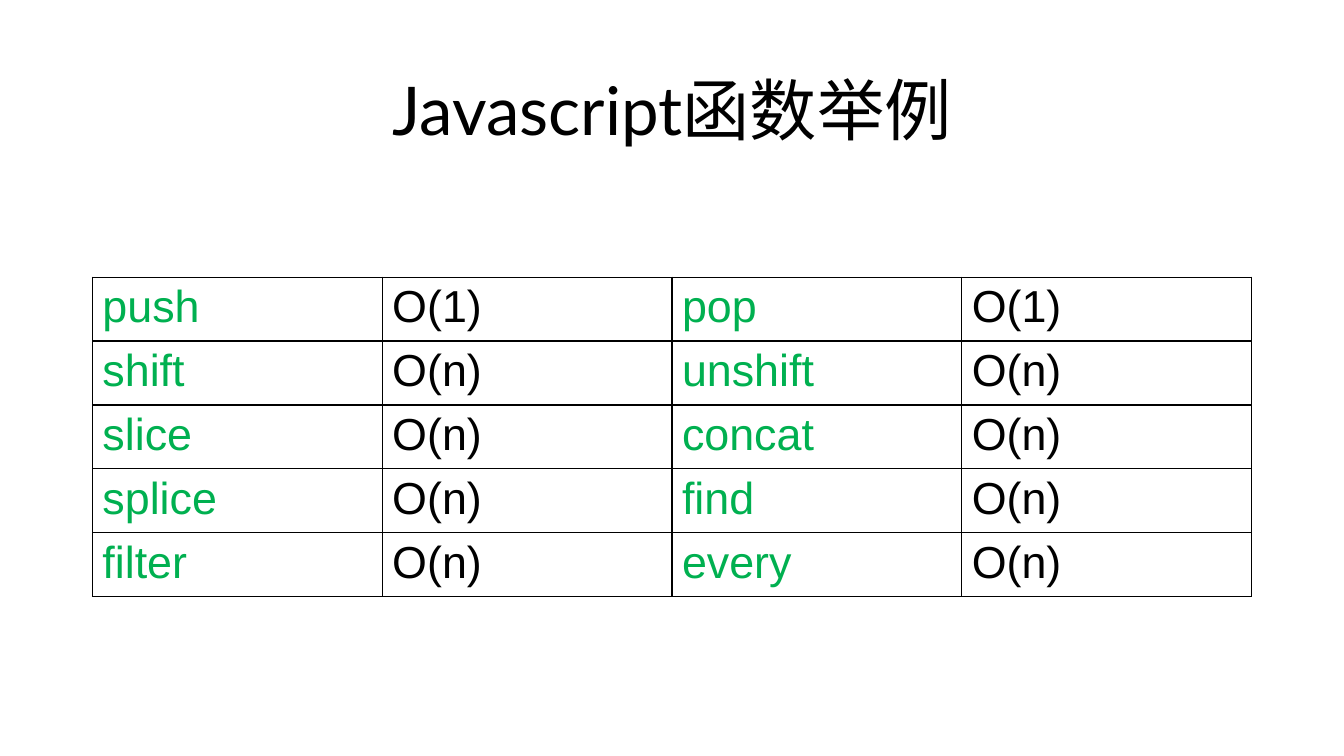
from lxml import etree
from pptx import Presentation
from pptx.dml.color import RGBColor
from pptx.enum import text
from pptx.oxml import ns
from pptx.util import Pt

# Content
TITLE = "Javascript函数举例"
COSTS = [
    ("push", "O(1)", "pop", "O(1)"),
    ("shift", "O(n)", "unshift", "O(n)"),
    ("slice", "O(n)", "concat", "O(n)"),
    ("splice", "O(n)", "find", "O(n)"),
    ("filter", "O(n)", "every", "O(n)"),
]
BLACK, GREEN = "000000", "00B050"
LEFT, WIDTH = 66, 828
TOP, ROW = 198, 43.1


def style(par, font, size, color):
    for run in par.runs:
        run.font.name = font
        run.font.size = Pt(size)
        run.font.color.rgb = RGBColor.from_string(color)


def border(cell, color, width):
    props = cell._tc.get_or_add_tcPr()
    for side in ("lnL", "lnR", "lnT", "lnB"):
        line = etree.SubElement(props, ns.qn("a:" + side), w=str(Pt(width)))
        fill = etree.SubElement(line, ns.qn("a:solidFill"))
        etree.SubElement(fill, ns.qn("a:srgbClr"), val=color)


deck = Presentation()
deck.slide_width, deck.slide_height = Pt(960), Pt(540)
slide = deck.slides.add_slide(deck.slide_layouts[6])

# Title
box = slide.shapes.add_textbox(Pt(LEFT), Pt(28.75), Pt(WIDTH), Pt(104.4))
frame = box.text_frame
frame.word_wrap = True
frame.vertical_anchor = text.MSO_ANCHOR.MIDDLE
frame.text = TITLE
head = frame.paragraphs[0]
head.alignment = text.PP_ALIGN.CENTER
head.line_spacing = 0.9
style(head, "Lato", 48, BLACK)

# Table of functions and their costs
rows, cols = len(COSTS), len(COSTS[0])
table = slide.shapes.add_table(
    rows, cols, Pt(LEFT), Pt(TOP), Pt(WIDTH), Pt(ROW * rows)).table
table.first_row = table.horz_banding = False
for r, row in enumerate(COSTS):
    table.rows[r].height = Pt(ROW)
    for c, word in enumerate(row):
        cell = table.cell(r, c)
        cell.text_frame.text = word
        style(cell.text_frame.paragraphs[0], "Arial", 32,
              BLACK if c % 2 else GREEN)
        border(cell, BLACK, 1)
        cell.fill.background()

deck.save("out.pptx")
